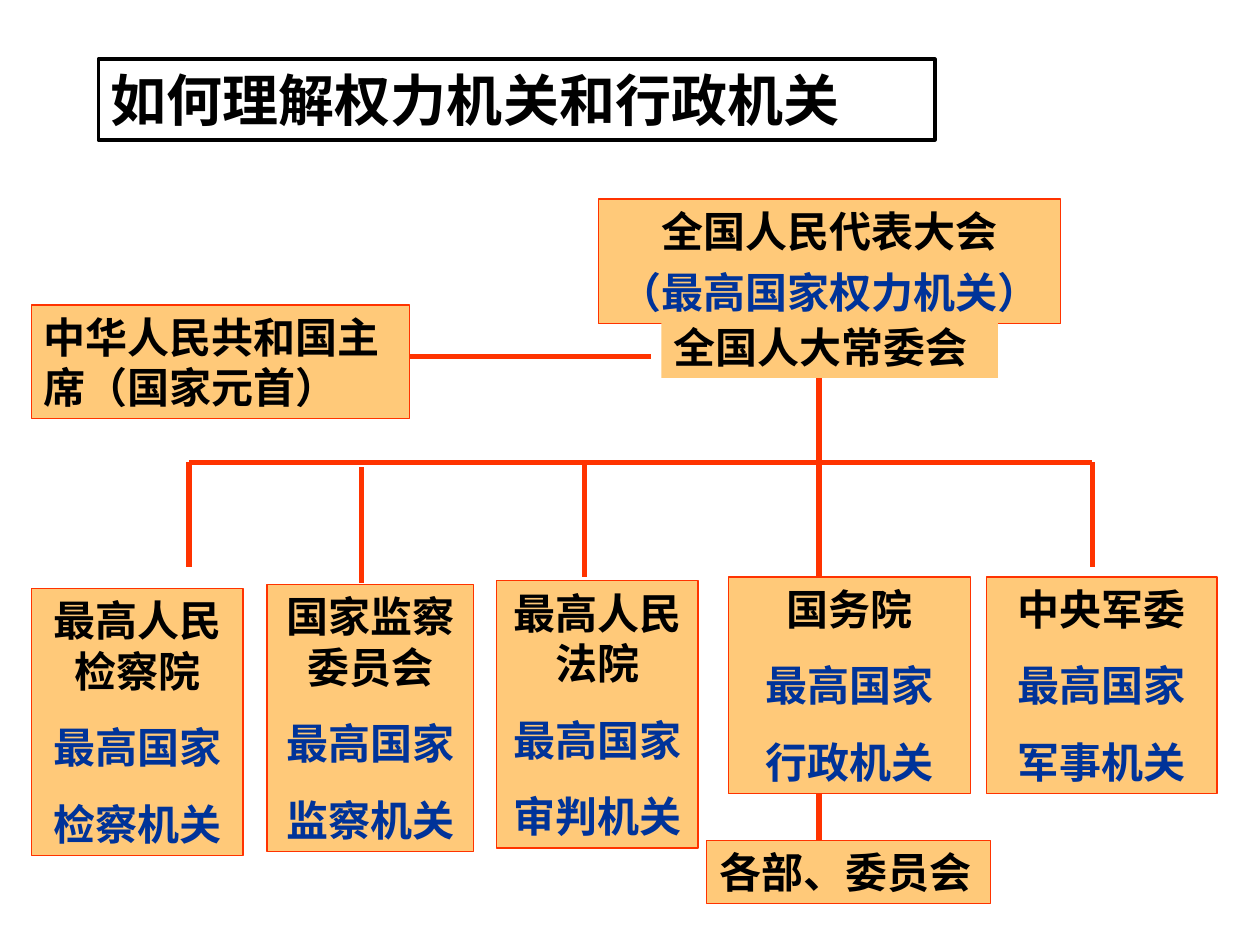
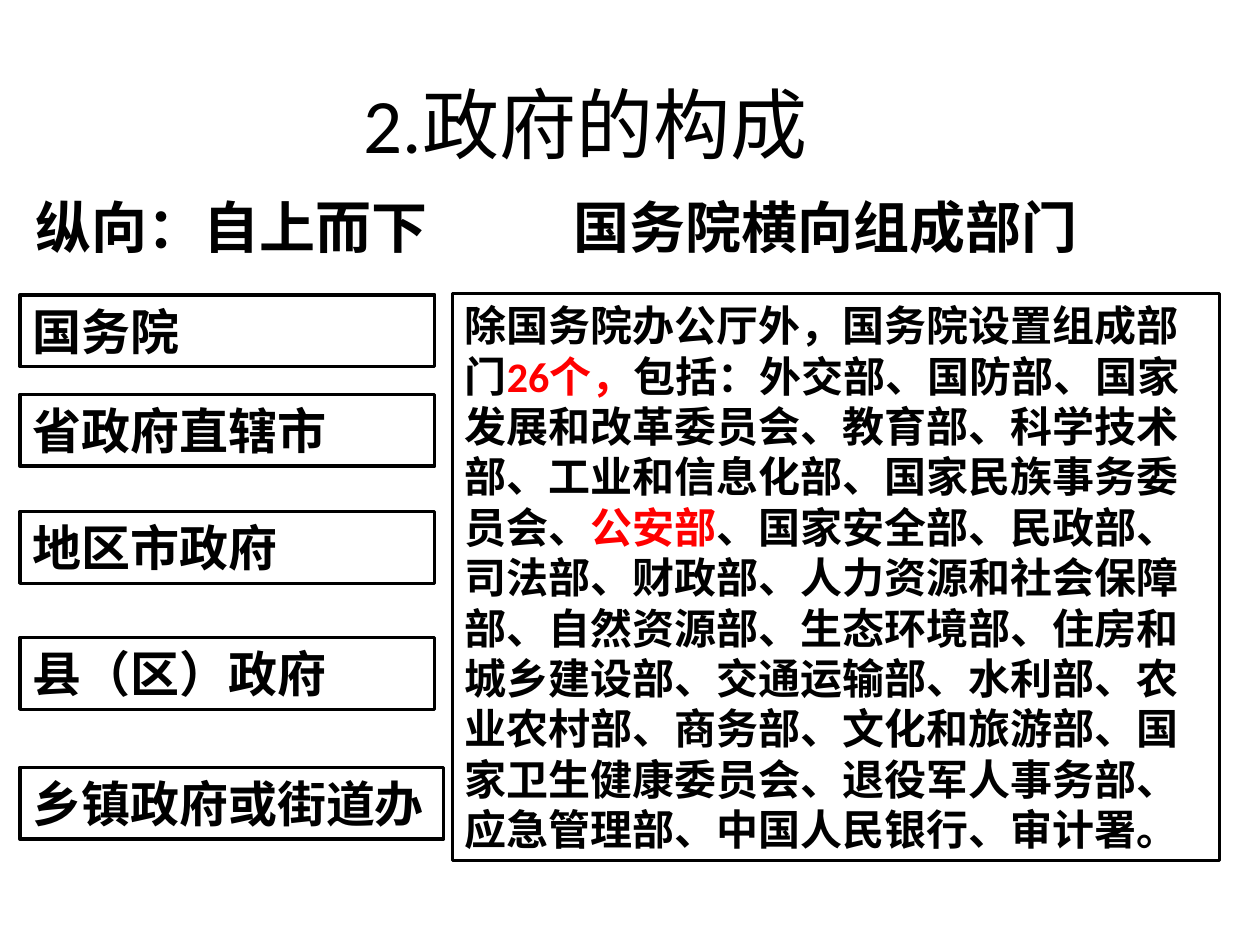
from pptx import Presentation
from pptx.dml.color import RGBColor
from pptx.enum.shapes import MSO_CONNECTOR as CONNECTOR, MSO_SHAPE as SHAPE
from pptx.enum.text import MSO_ANCHOR as ANCHOR, MSO_AUTO_SIZE as AUTO_SIZE, PP_ALIGN as ALIGN
from pptx.oxml.ns import qn
from pptx.util import Inches, Pt
from lxml import etree

BLACK, WHITE, RED = "000000", "FFFFFF", "FF0000"
ORANGE, PEACH, BLUE = "FF3300", "FFC979", "003399"
TITLE_ONLY = 5


def color(hex_code):
    return RGBColor.from_string(hex_code)


class Deck:
    """Holds the shared style and the slide being built."""

    def __init__(self):
        self.file = Presentation()
        self.file.slide_width = Inches(10)
        self.file.slide_height = Inches(7.5)
        self.slide = None

    def new_slide(self):
        self.slide = self.file.slides.add_slide(self.file.slide_layouts[TITLE_ONLY])

    def set_text(self, shape, paragraphs, size, font="Calibri", bold=True,
                 align=ALIGN.LEFT, space=0, anchor=ANCHOR.TOP):
        """Fill a shape; each paragraph is a list of (text, colour) pieces."""
        frame = shape.text_frame
        frame.word_wrap = True
        frame.auto_size = AUTO_SIZE.NONE
        frame.vertical_anchor = anchor
        for index, pieces in enumerate(paragraphs):
            paragraph = frame.paragraphs[0] if index == 0 else frame.add_paragraph()
            paragraph.alignment = align
            paragraph.space_before = Pt(space)
            for text, ink in pieces:
                run = paragraph.add_run()
                run.text = text
                run.font.name = font
                run.font.size = Pt(size)
                run.font.bold = bold
                run.font.color.rgb = color(ink)

    def paint(self, shape, fill, outline, weight):
        shape.fill.solid()
        shape.fill.fore_color.rgb = color(fill)
        if outline:
            shape.line.color.rgb = color(outline)
            shape.line.width = Pt(weight)
        else:
            shape.line.fill.background()

    def title(self, text, area, size, framed=False, **style):
        heading = self.slide.shapes.title
        heading.left, heading.top, heading.width, heading.height = map(Inches, area)
        if framed:
            self.paint(heading, WHITE, BLACK, 2)
        self.set_text(heading, [[(text, BLACK)]], size, **style)

    def box(self, area, paragraphs, size, fill=WHITE, outline=BLACK, weight=2, **style):
        panel = self.slide.shapes.add_shape(SHAPE.RECTANGLE, *map(Inches, area))
        panel.shadow.inherit = False
        self.paint(panel, fill, outline, weight)
        self.set_text(panel, paragraphs, size, **style)

    def organ(self, area, name, roles=(), outline=ORANGE, font="Arial", **style):
        """State organ: black name, with its roles in blue below."""
        paragraphs = [[(name, BLACK)]] + [[(role, BLUE)] for role in roles]
        align = ALIGN.CENTER if roles else ALIGN.LEFT
        self.box(area, paragraphs, 24, PEACH, outline, 0.75,
                 font=font, align=align, **style)

    def label(self, text, area):
        caption = self.slide.shapes.add_textbox(*map(Inches, area))
        self.set_text(caption, [[(text, BLACK)]], 32, font="DejaVu Sans")

    def line(self, x1, y1, x2, y2):
        link = self.slide.shapes.add_connector(
            CONNECTOR.STRAIGHT, *map(Inches, (x1, y1, x2, y2)))
        link.line.color.rgb = color(ORANGE)
        link.line.width = Pt(3)
        etree.SubElement(link._element.spPr, qn("a:effectLst"))


def build_state_organs(deck):
    deck.new_slide()
    deck.title("如何理解权力机关和行政机关", (0.78, 0.47, 6.64, 0.64), 32, framed=True)

    rail, trunk, left_end, right_end = 3.67, 6.5, 1.5, 8.67
    deck.line(left_end, rail, right_end, rail)
    for x, top, bottom in [(left_end, rail, 4.5), (2.87, 3.71, 4.63), (4.64, rail, 4.58),
                           (right_end, rail, 4.5), (trunk, 2.75, 4.58), (trunk, 6.25, 6.67)]:
        deck.line(x, top, x, bottom)
    deck.line(3.17, 2.83, 5.17, 2.83)

    deck.organ((4.75, 1.58, 3.67, 0.99), "全国人民代表大会", ["（最高国家权力机关）"], space=6)
    deck.organ((5.25, 2.5, 2.67, 0.5), "全国人大常委会", outline=None)
    deck.organ((0.25, 2.42, 3, 0.9), "中华人民共和国主席（国家元首）")
    deck.organ((5.61, 6.67, 2.25, 0.5), "各部、委员会")

    branches = [
        ((0.25, 4.67, 1.68, 2.12), "最高人民检察院", "检察机关"),
        ((2.12, 4.64, 1.64, 2.12), "国家监察委员会", "监察机关"),
        ((3.94, 4.61, 1.6, 2.12), "最高人民法院", "审判机关"),
        ((5.78, 4.58, 1.92, 1.72), "国务院", "行政机关"),
        ((7.83, 4.58, 1.83, 1.72), "中央军委", "军事机关"),
    ]
    for area, name, role in branches:
        deck.organ(area, name, ["最高国家", role], space=15)


def build_government_structure(deck):
    deck.new_slide()
    deck.title("2.政府的构成", (0.23, 0.39, 8.84, 1.17), 44, bold=False,
               align=ALIGN.CENTER, anchor=ANCHOR.MIDDLE)
    deck.label("纵向：自上而下", (0.18, 1.48, 3.73, 0.64))
    deck.label("国务院横向组成部门", (4.45, 1.48, 4.22, 0.64))

    levels = [("国务院", 2.34, 3.29), ("省政府直辖市", 3.13, 3.29), ("地区市政府", 4.06, 3.29),
              ("县（区）政府", 5.06, 3.29), ("乡镇政府或街道办", 6.09, 3.36)]
    for level, top, width in levels:
        deck.box((0.16, top, width, 0.57), [[(level, BLACK)]], 28)

    departments = [
        ("除国务院办公厅外，国务院设置组成部门", BLACK),
        ("26个，", RED),
        ("包括：外交部、国防部、国家发展和改革委员会、教育部、科学技术部、"
         "工业和信息化部、国家民族事务委员会、", BLACK),
        ("公安部", RED),
        ("、国家安全部、民政部、司法部、财政部、人力资源和社会保障部、自然资源部、"
         "生态环境部、住房和城乡建设部、交通运输部、水利部、农业农村部、商务部、"
         "文化和旅游部、国家卫生健康委员会、退役军人事务部、应急管理部、"
         "中国人民银行、审计署。", BLACK),
    ]
    deck.box((3.59, 2.33, 6.09, 4.5), [departments], 24)


def main():
    deck = Deck()
    build_state_organs(deck)
    build_government_structure(deck)
    deck.file.save("out.pptx")


if __name__ == "__main__":
    main()
